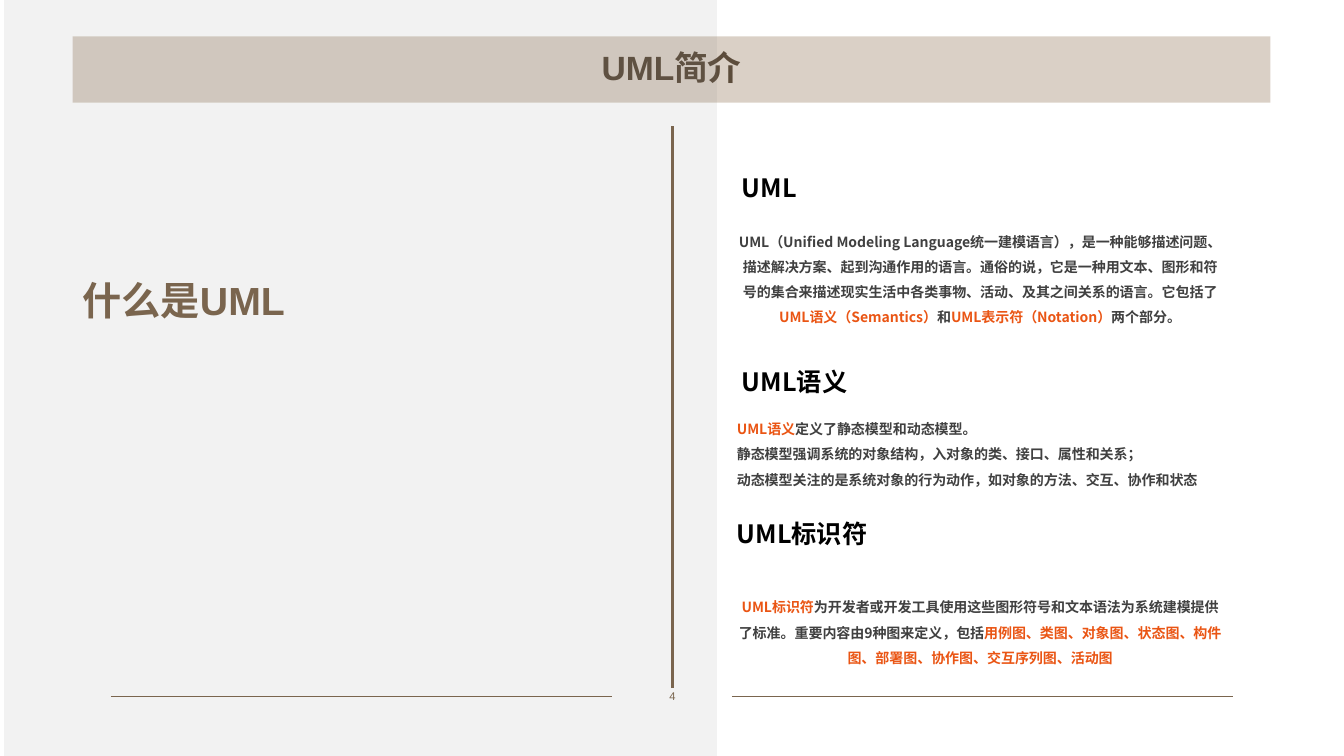
import lxml.etree
import pptx
import pptx.util
import pptx.dml.color
import pptx.enum.shapes
import pptx.enum.text
import pptx.oxml.ns

Inches, Pt = pptx.util.Inches, pptx.util.Pt
PP_ALIGN = pptx.enum.text.PP_ALIGN
ANCHOR = pptx.enum.text.MSO_ANCHOR
qn = pptx.oxml.ns.qn

COLORS = {
    "brown": "7A654E", "title": "5C4C3B", "band": "B6A38E", "panel": "808080",
    "heading": "000000", "text": "404040", "accent": "EA5514",
}
LATIN, CJK = "Arial", "Noto Sans CJK SC"

# Each section: heading, its left and top, body top and height, alignment,
# and paragraphs made of (text, color) runs
SECTIONS = [
    ("UML", 7.26, 1.54, 2.18, 1.08, PP_ALIGN.CENTER, [
        [("UML（Unified Modeling Language统一建模语言），是一种能够描述问题、"
          "描述解决方案、起到沟通作用的语言。通俗的说，它是一种用文本、图形和符号的"
          "集合来描述现实生活中各类事物、活动、及其之间关系的语言。它包括了", "text"),
         ("UML语义（Semantics）", "accent"), ("和", "text"),
         ("UML表示符（Notation）", "accent"), ("两个部分。", "text")],
    ]),
    ("UML语义", 7.26, 3.46, 4.04, 0.83, PP_ALIGN.LEFT, [
        [("UML语义", "accent"), ("定义了静态模型和动态模型。", "text")],
        [("静态模型强调系统的对象结构，入对象的类、接口、属性和关系；", "text")],
        [("动态模型关注的是系统对象的行为动作，如对象的方法、交互、协作和状态", "text")],
    ]),
    ("UML标识符", 7.21, 4.97, 5.81, 0.83, PP_ALIGN.CENTER, [
        [("UML标识符", "accent"),
         ("为开发者或开发工具使用这些图形符号和文本语法为系统建模提供了标准。"
          "重要内容由9种图来定义，包括", "text"),
         ("用例图、类图、对象图、状态图、构件图、部署图、协作图、交互序列图、活动图",
          "accent")],
    ]),
]


def rgb(name):
    return pptx.dml.color.RGBColor.from_string(COLORS[name])


def fill_with(sp, color, percent):
    """Solid fill with the given opacity, no outline."""
    sp.fill.solid()
    sp.fill.fore_color.rgb = rgb(color)
    clr = sp.element.spPr.find(qn("a:solidFill")).find(qn("a:srgbClr"))
    lxml.etree.SubElement(clr, qn("a:alpha"), val=str(percent * 1000))
    sp.line.fill.background()


def format_run(r, size, color, font, bold=True):
    r.font.size, r.font.bold, r.font.name = Pt(size), bold, font
    r.font.color.rgb = rgb(color)
    # East Asian typeface
    lxml.etree.SubElement(r._r.get_or_add_rPr(), qn("a:ea"), typeface=CJK)


def add_text(slide, box, paragraphs, size, font, align=PP_ALIGN.LEFT,
             anchor=ANCHOR.TOP, spacing=1.0, bold=True, wrap=True):
    sp = slide.shapes.add_textbox(*map(Inches, box))
    tf = sp.text_frame
    tf.word_wrap, tf.vertical_anchor = wrap, anchor
    for i, runs in enumerate(paragraphs):
        p = tf.add_paragraph() if i else tf.paragraphs[0]
        p.alignment, p.line_spacing = align, spacing
        for text, color in runs:
            r = p.add_run()
            r.text = text
            format_run(r, size, color, font, bold)


def add_line(slide, x1, y1, x2, y2, width):
    cn = slide.shapes.add_connector(
        pptx.enum.shapes.MSO_CONNECTOR.STRAIGHT, *map(Inches, (x1, y1, x2, y2)))
    cn.line.color.rgb = rgb("brown")
    cn.line.width = Pt(width)
    lxml.etree.SubElement(cn.element.spPr, qn("a:effectLst"))


def add_title(slide, left, top, width, height):
    sp = slide.shapes.title
    sp.left, sp.top, sp.width, sp.height = map(Inches, (left, top, width, height))
    fill_with(sp, "band", 50)
    tf = sp.text_frame
    tf.text = "UML简介"
    tf.auto_size = pptx.enum.text.MSO_AUTO_SIZE.NONE
    tf.vertical_anchor = ANCHOR.MIDDLE
    p = tf.paragraphs[0]
    p.alignment, p.line_spacing = PP_ALIGN.CENTER, 0.9
    format_run(p.runs[0], 24, "title", LATIN)


def add_footer(slide, y):
    for x in (1.1, 7.26):
        add_line(slide, x, y, x + 4.97, y, 0.5)
    add_text(slide, (6.5, y - 0.12, 0.34, 0.24), [[("4", "brown")]], 8, LATIN,
             PP_ALIGN.CENTER, ANCHOR.MIDDLE, bold=False, wrap=False)


def add_left_panel(slide, left, top, width, height):
    sp = slide.shapes.add_shape(pptx.enum.shapes.MSO_SHAPE.RECTANGLE,
                                *map(Inches, (left, top, width, height)))
    sp.shadow.inherit = False
    fill_with(sp, "panel", 10)
    add_text(slide, (left + 0.68, top + 2.69, 5.42, 0.57),
             [[("什么是UML", "brown")]], 28, LATIN, anchor=ANCHOR.BOTTOM)


def add_section(slide, heading, left, top, body_top, body_height, align, paragraphs):
    add_text(slide, (left, top, 4.97, 0.64), [[(heading, "heading")]], 18, CJK,
             anchor=ANCHOR.MIDDLE)
    add_text(slide, (7.21, body_top, 5.02, body_height), paragraphs, 10, CJK,
             align, spacing=1.5)


def main():
    prs = pptx.Presentation()
    prs.slide_width, prs.slide_height = Inches(13.33), Inches(7.5)
    slide = prs.slides.add_slide(prs.slide_layouts.get_by_name("Title Only"))

    # Title band, left panel and footer
    add_title(slide, 0.72, 0.36, 11.88, 0.66)
    add_left_panel(slide, 0.04, 0, 7.07, 7.5)
    add_footer(slide, 6.91)

    # Divider and the sections to its right
    add_line(slide, 6.67, 1.25, 6.67, 6.83, 2)
    for section in SECTIONS:
        add_section(slide, *section)

    prs.save("out.pptx")


if __name__ == "__main__":
    main()
